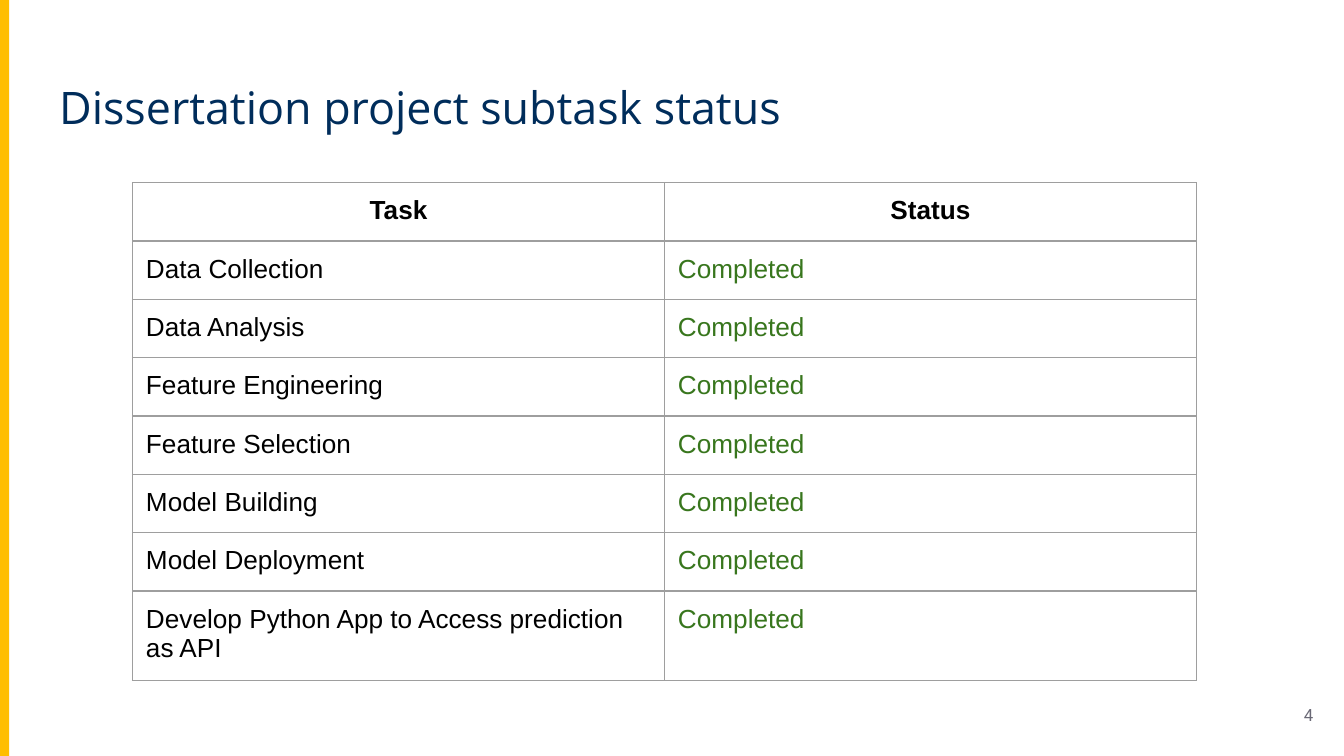
from lxml.etree import SubElement
from pptx import Presentation
from pptx.dml.color import RGBColor
from pptx.enum.shapes import MSO_SHAPE
from pptx.enum.text import MSO_ANCHOR, PP_ALIGN
from pptx.oxml.ns import qn
from pptx.util import Pt

COLORS = {
    "accent": "FFBE00",
    "title": "002D5B",
    "text": "000000",
    "done": "38761D",
    "border": "9E9E9E",
    "number": "6A6976",
    "background": "FFFFFF",
}
INSET = Pt(7.2)
HEADERS = ("Task", "Status")
TASKS = (
    "Data Collection",
    "Data Analysis",
    "Feature Engineering",
    "Feature Selection",
    "Model Building",
    "Model Deployment",
    "Develop Python App to Access prediction as API",
)


def color(name):
    return RGBColor.from_string(COLORS[name])


def set_insets(frame):
    """Give a text frame or table cell the same inset on every side."""
    frame.margin_left = frame.margin_right = INSET
    frame.margin_top = frame.margin_bottom = INSET


def format_paragraph(p, font, size, color_name, align=PP_ALIGN.LEFT, bold=False):
    p.alignment = align
    p.font.name = font
    p.font.size = Pt(size)
    p.font.bold = bold
    p.font.color.rgb = color(color_name)


def add_side_bar(slide, left, top, width, height):
    sp = slide.shapes.add_shape(
        MSO_SHAPE.RECTANGLE, Pt(left), Pt(top), Pt(width), Pt(height))
    sp.shadow.inherit = False
    sp.fill.solid()
    sp.fill.fore_color.rgb = color("accent")
    sp.line.fill.background()


def place_title(slide, text, left, top, width, height):
    title = slide.shapes.title
    title.left, title.top = Pt(left), Pt(top)
    title.width, title.height = Pt(width), Pt(height)
    tf = title.text_frame
    tf.text = text
    tf.word_wrap = True
    tf.vertical_anchor = MSO_ANCHOR.TOP
    set_insets(tf)
    format_paragraph(tf.paragraphs[0], "Open Sans", 24, "title")


def add_page_number(slide, number, left, top, width, height):
    box = slide.shapes.add_textbox(Pt(left), Pt(top), Pt(width), Pt(height))
    tf = box.text_frame
    tf.text = str(number)
    tf.word_wrap = True
    tf.vertical_anchor = MSO_ANCHOR.MIDDLE
    set_insets(tf)
    format_paragraph(tf.paragraphs[0], "Roboto", 9, "number", PP_ALIGN.RIGHT)


def add_borders(cell):
    tc_pr = cell._tc.get_or_add_tcPr()
    for i, side in enumerate(("lnL", "lnR", "lnT", "lnB")):
        ln = SubElement(tc_pr, qn(f"a:{side}"), w=str(Pt(0.75)))
        fill = SubElement(ln, qn("a:solidFill"))
        SubElement(fill, qn("a:srgbClr"), val=COLORS["border"])
        # Borders come before the cell fill in the schema
        tc_pr.insert(i, ln)


def add_status_table(slide, left, top, width, height):
    rows = [HEADERS] + [(task, "Completed") for task in TASKS]
    table = slide.shapes.add_table(
        len(rows), len(HEADERS), Pt(left), Pt(top), Pt(width), Pt(height)).table
    for r, values in enumerate(rows):
        for c, value in enumerate(values):
            cell = table.cell(r, c)
            cell.text = value
            cell.fill.background()
            set_insets(cell)
            add_borders(cell)
            p = cell.text_frame.paragraphs[0]
            if r == 0:
                format_paragraph(p, "Arial", 14, "text", PP_ALIGN.CENTER, True)
            else:
                format_paragraph(p, "Arial", 14, "done" if c else "text")


def main():
    prs = Presentation()
    prs.slide_width, prs.slide_height = Pt(720), Pt(405)
    slide = prs.slides.add_slide(prs.slide_layouts[5])
    slide.background.fill.solid()
    slide.background.fill.fore_color.rgb = color("background")

    add_side_bar(slide, -0.7, -0.5, 5.6, 405.5)
    place_title(slide, "Dissertation project subtask status", 24.5, 35.3, 671, 45.4)
    add_page_number(slide, 4, 667.4, 367.2, 43.2, 31)
    add_status_table(slide, 71, 97.9, 570, 240)

    prs.save("out.pptx")


if __name__ == "__main__":
    main()
